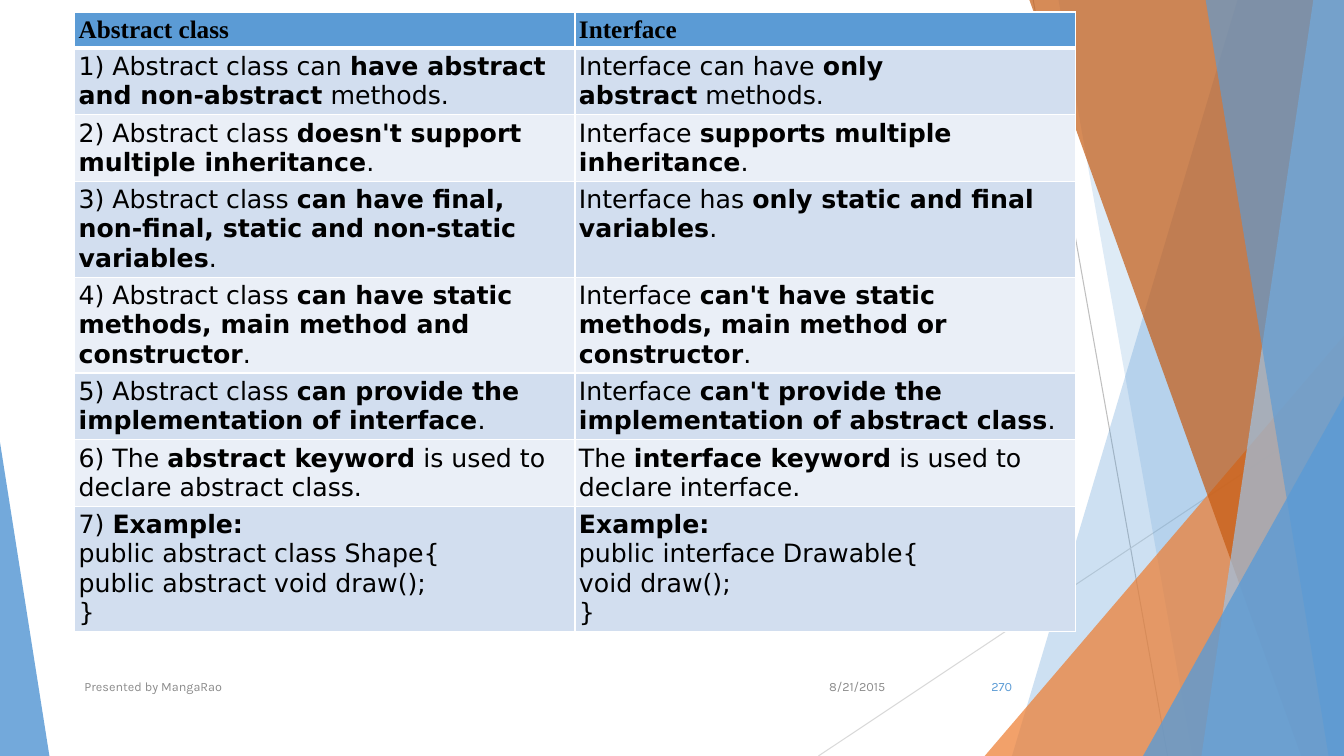
import lxml.etree
import pptx
import pptx.dml.color
import pptx.enum.shapes
import pptx.enum.text
import pptx.oxml.ns
import pptx.util

Pt = pptx.util.Pt
ALIGN = pptx.enum.text.PP_ALIGN
MIDDLE = pptx.enum.text.MSO_ANCHOR.MIDDLE
SLIDE_WIDTH, SLIDE_HEIGHT = 960, 540
BLUE, BLACK, WHITE, GREY = "5B9BD5", "000000", "FFFFFF", "8C8C8C"
BANDS = ["EAEFF7", "D2DEEF"]

# Asterisks enclose bold words
COMPARISON = [
    ("*Abstract class*", "*Interface*"),
    ("1) Abstract class can *have abstract and non-abstract* methods.",
     "Interface can have *only abstract* methods."),
    ("2) Abstract class *doesn't support multiple inheritance*.",
     "Interface *supports multiple inheritance*."),
    ("3) Abstract class *can have final, non-final, static and non-static variables*.",
     "Interface has *only static and final variables*."),
    ("4) Abstract class *can have static methods, main method and constructor*.",
     "Interface *can't have static methods, main method or constructor*."),
    ("5) Abstract class *can provide the implementation of interface*.",
     "Interface *can't provide the implementation of abstract class*."),
    ("6) The *abstract keyword* is used to declare abstract class.",
     "The *interface keyword* is used to declare interface."),
    ("7) *Example:*\npublic abstract class Shape{\npublic abstract void draw();\n}",
     "*Example:*\npublic interface Drawable{\nvoid draw();\n}"),
]
ROW_HEIGHTS = [25.5, 47.5, 47.5, 68.5, 68.5, 47.5, 47.5, 89.5]


def rgb(color):
    return pptx.dml.color.RGBColor.from_string(color)


def add_xml(parent, tag, **attributes):
    return lxml.etree.SubElement(parent, pptx.oxml.ns.qn(tag), **attributes)


def set_all(target, formats):
    for name, value in formats.items():
        setattr(target, name, value)


def paint(shape, color, opacity):
    shape.shadow.inherit = False
    shape.line.fill.background()
    shape.fill.solid()
    shape.fill.fore_color.rgb = rgb(color)
    fill_color = shape.fill._xPr.find(".//" + pptx.oxml.ns.qn("a:srgbClr"))
    add_xml(fill_color, "a:alpha", val=str(opacity * 1000))


def add_hairline(slide, start, end, color):
    hairline = slide.shapes.add_connector(
        pptx.enum.shapes.MSO_CONNECTOR.STRAIGHT, *map(Pt, start + end))
    hairline.line.color.rgb = rgb(color)
    hairline.line.width = Pt(0.75)
    add_xml(hairline._element.spPr, "a:effectLst")


def add_facet(slide, top_left, bottom_left, color, opacity):
    """Panel running from a slanted left edge to the slide's right edge."""
    top = -0.6
    outline = slide.shapes.build_freeform(Pt(top_left), Pt(top), scale=1.0)
    corners = [(SLIDE_WIDTH, top), (SLIDE_WIDTH, SLIDE_HEIGHT), (bottom_left, SLIDE_HEIGHT)]
    outline.add_line_segments([(Pt(x), Pt(y)) for x, y in corners], close=True)
    paint(outline.convert_to_shape(), color, opacity)


def add_corner(slide, left, top, width, apex, color, opacity):
    """Triangle standing on the slide's bottom edge."""
    corner = slide.shapes.add_shape(
        pptx.enum.shapes.MSO_SHAPE.ISOSCELES_TRIANGLE,
        Pt(left), Pt(top), Pt(width), Pt(SLIDE_HEIGHT - top))
    corner.adjustments[0] = apex
    paint(corner, color, opacity)


def add_run(paragraph, text, font, size, color, bold=False):
    run = paragraph.add_run()
    run.text = text
    set_all(run.font, {"name": font, "size": Pt(size), "bold": bold})
    run.font.color.rgb = rgb(color)


def write_marked(paragraph, text, font):
    # Spaces around bold words do not break
    text = text.replace(" *", chr(160) + "*").replace("* ", "*" + chr(160))
    for number, line in enumerate(text.split("\n")):
        if number:
            paragraph.add_line_break()
        for part, words in enumerate(line.split("*")):
            if words:
                add_run(paragraph, words, font, 18, BLACK, part % 2 == 1)


def add_borders(cell, widths):
    properties = cell._tc.get_or_add_tcPr()
    for side, width in zip("LRTB", widths):
        border = add_xml(properties, "a:ln" + side, w=str(Pt(width)))
        add_xml(add_xml(border, "a:solidFill"), "a:srgbClr", val=WHITE)


def add_comparison(slide, left, top, column_width):
    comparison = slide.shapes.add_table(
        len(COMPARISON), 2, Pt(left), Pt(top),
        Pt(2 * column_width), Pt(sum(ROW_HEIGHTS))).table
    for column in comparison.columns:
        column.width = Pt(column_width)
    margins = dict.fromkeys(
        ["margin_left", "margin_right", "margin_top", "margin_bottom"], Pt(2.9))
    for r, statements in enumerate(COMPARISON):
        comparison.rows[r].height = Pt(ROW_HEIGHTS[r])
        for c, statement in enumerate(statements):
            cell = comparison.cell(r, c)
            set_all(cell, margins)
            add_borders(cell, (1, 1, 3 if r == 1 else 1, 3 if r == 0 else 1))
            cell.fill.solid()
            cell.fill.fore_color.rgb = rgb(BANDS[r % 2] if r else BLUE)
            write_marked(cell.text_frame.paragraphs[0], statement,
                         "DejaVu Sans" if r else "Times New Roman")


def add_footer(slide, left, width, text, color, alignment):
    footer = slide.shapes.add_textbox(Pt(left), Pt(476), Pt(width), Pt(28.8))
    set_all(footer.text_frame, {"word_wrap": True, "vertical_anchor": MIDDLE})
    paragraph = footer.text_frame.paragraphs[0]
    paragraph.alignment = alignment
    add_run(paragraph, text, "Karla", 9, color)


def main():
    deck = pptx.Presentation()
    set_all(deck, {"slide_width": Pt(SLIDE_WIDTH), "slide_height": Pt(SLIDE_HEIGHT)})
    slide = deck.slides.add_slide(deck.slide_layouts[6])

    # Backdrop
    add_hairline(slide, (738, 0), (834, 540), "BFBFBF")
    add_hairline(slide, (960, 290), (584.6, 540), "D9D9D9")
    add_facet(slide, 884.2, 722.9, BLUE, 30)
    add_facet(slide, 756, 851.8, BLUE, 20)
    add_corner(slide, 703.4, 239.8, 256.6, 1, "ED7D31", 72)
    add_facet(slide, 735.1, 929.5, "C55A11", 70)
    add_facet(slide, 938.2, 858.2, "9DC3E6", 70)
    add_facet(slide, 861.1, 949, BLUE, 65)
    add_corner(slide, 816.5, 283, 143.5, 1, BLUE, 80)
    add_corner(slide, 0, 316, 35.3, 0, BLUE, 85)

    # Comparison table
    add_comparison(slide, 53.3, 8.6, 357.4)

    # Footer
    add_footer(slide, 567.4, 72, "8/21/2015", GREY, ALIGN.RIGHT)
    add_footer(slide, 53.3, 496, "Presented by MangaRao", GREY, ALIGN.LEFT)
    add_footer(slide, 676, 54, "270", BLUE, ALIGN.RIGHT)

    deck.save("out.pptx")


if __name__ == "__main__":
    main()
